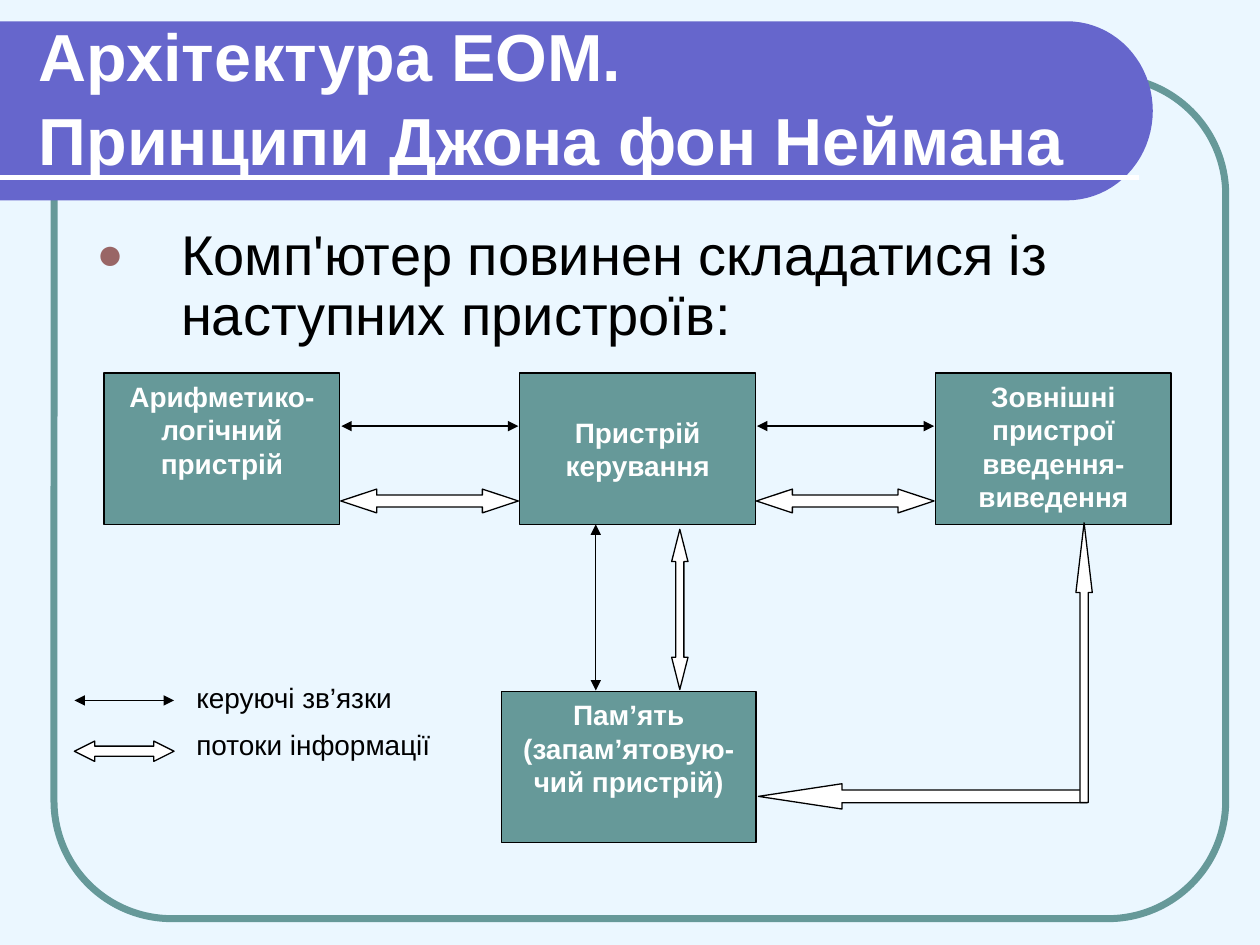
from dataclasses import dataclass
from math import cos, pi, sin

from lxml.etree import SubElement
from pptx import Presentation
from pptx.dml.color import RGBColor
from pptx.enum.shapes import MSO_CONNECTOR, MSO_SHAPE as Geo
from pptx.enum.text import MSO_ANCHOR as Anchor, PP_ALIGN as Align
from pptx.oxml.ns import qn
from pptx.util import Cm, Pt


@dataclass(frozen=True)
class Theme:
    font: str = "Arial"
    background: str = "EBF7FF"
    band: str = "6666CC"
    teal: str = "669999"
    bullet: str = "996666"
    black: str = "000000"
    white: str = "FFFFFF"
    title: int = 38
    body: int = 32
    label: int = 16
    thin: float = 0.75
    underline: float = 3
    frame: float = 4


@dataclass(frozen=True)
class Area:
    """Left, top, width and height in centimetres."""
    x: float
    y: float
    w: float
    h: float

    def emu(self) -> tuple:
        return Cm(self.x), Cm(self.y), Cm(self.w), Cm(self.h)


@dataclass(frozen=True)
class Device:
    text: str
    area: Area
    anchor: Anchor = Anchor.TOP


@dataclass(frozen=True)
class BlockArrow:
    geo: Geo
    area: Area
    head: float
    rotation: int = 0


@dataclass(frozen=True)
class Legend:
    text: str
    area: Area


T = Theme()
COL_X, COL_STEP, ROW_Y = 2.1, 8.38, 7.52
BOX_W, BOX_H = 4.75, 3.05
GAPS = [COL_X + BOX_W + i * COL_STEP for i in range(2)]


def device_at(col: int, text: str, anchor: Anchor = Anchor.TOP) -> Device:
    return Device(text, Area(COL_X + col * COL_STEP, ROW_Y, BOX_W, BOX_H), anchor)


DEVICES = [
    device_at(0, "Арифметико-логічний пристрій"),
    device_at(1, "Пристрій керування", Anchor.MIDDLE),
    device_at(2, "Зовнішні пристрої введення-виведення"),
    Device("Пам’ять\n(запам’ятовую-чий пристрій)", Area(10.11, 13.94, 5.13, BOX_H)),
]
INFO_FLOWS = [
    *(BlockArrow(Geo.LEFT_RIGHT_ARROW, Area(x + 0.02, 9.86, 3.58, 0.48), 1.51) for x in GAPS),
    BlockArrow(Geo.LEFT_RIGHT_ARROW, Area(12.09, 12.12, 3.23, 0.33), 1.97, 270),
    BlockArrow(Geo.LEFT_ARROW, Area(15.29, 15.8, 6.63, 0.51), 3.3),
    BlockArrow(Geo.UP_ARROW, Area(21.69, 10.54, 0.33, 5.64), 4.26),
    BlockArrow(Geo.LEFT_RIGHT_ARROW, Area(1.5, 14.94, 2.01, 0.41), 1),
]
CONTROL_LINKS = [
    *((x + 0.03, 8.59, x + 3.6, 8.59) for x in GAPS),
    (12.01, 10.57, 12.01, 13.92),
    (1.5, 14.12, 3.51, 14.12),
]
LEGENDS = [
    Legend("керуючі зв’язки", Area(3.71, 13.54, 6.2, 1.02)),
    Legend("потоки інформації", Area(3.71, 14.53, 6.2, 0.94)),
]


def rgb(value: str) -> RGBColor:
    return RGBColor.from_string(value)


def paint(s, fill: str | None = None, line: str | None = None, width: float = T.thin) -> None:
    s.shadow.inherit = False
    if fill:
        s.fill.solid()
        s.fill.fore_color.rgb = rgb(fill)
    else:
        s.fill.background()
    if line:
        s.line.color.rgb = rgb(line)
        s.line.width = Pt(width)
    else:
        s.line.fill.background()


def write(s, text: str, *, size: int, color: str = T.black, bold: bool = False,
          align: Align = Align.LEFT, anchor: Anchor = Anchor.TOP,
          spacing: float | None = None) -> None:
    """Fill a shape with text: \\n starts a paragraph, \\v breaks a line."""
    tf = s.text_frame
    tf.word_wrap = True
    tf.vertical_anchor = anchor
    for i, part in enumerate(text.split("\n")):
        p = tf.add_paragraph() if i else tf.paragraphs[0]
        p.text = part
        p.alignment = align
        p.line_spacing = spacing
        for r in p.runs:
            r.font.name, r.font.size, r.font.bold = T.font, Pt(size), bold
            r.font.color.rgb = rgb(color)


def add_bullet(p, indent: float) -> None:
    pr = p._p.get_or_add_pPr()
    pr.set("marL", str(Cm(indent)))
    pr.set("indent", str(-Cm(indent)))
    SubElement(SubElement(pr, qn("a:buClr")), qn("a:srgbClr"), val=T.bullet)
    SubElement(pr, qn("a:buSzPct"), val="80000")
    SubElement(pr, qn("a:buFont"), typeface=T.font)
    SubElement(pr, qn("a:buChar"), char="●")


def draw_line(shapes, ends: tuple, color: str, width: float, arrows: bool = False) -> None:
    s = shapes.add_connector(MSO_CONNECTOR.STRAIGHT, *map(Cm, ends))
    s.line.color.rgb = rgb(color)
    s.line.width = Pt(width)
    if arrows:
        ln = s.line._get_or_add_ln()
        for end in ("a:headEnd", "a:tailEnd"):
            SubElement(ln, qn(end), type="triangle")
    SubElement(s._element.spPr, qn("a:effectLst"))


def draw_band(shapes) -> None:
    """Title band with a rounded right end."""
    top, bottom, straight, right = 0.43, 4.04, 21.51, 23.24
    mid, ry, rx, steps = (top + bottom) / 2, (bottom - top) / 2, right - straight, 40
    angles = [pi * (i / steps - 0.5) for i in range(steps + 1)]
    arc = [(Cm(straight + rx * cos(a)), Cm(mid + ry * sin(a))) for a in angles]
    builder = shapes.build_freeform(0, Cm(top))
    builder.add_line_segments([*arc, (0, Cm(bottom))], close=True)
    paint(builder.convert_to_shape(), T.band)


def draw_device(shapes, device: Device) -> None:
    s = shapes.add_shape(Geo.RECTANGLE, *device.area.emu())
    paint(s, T.teal, T.black)
    write(s, device.text, size=T.label, color=T.white, bold=True,
          align=Align.CENTER, anchor=device.anchor)


def draw_block_arrow(shapes, arrow: BlockArrow) -> None:
    s = shapes.add_shape(arrow.geo, *arrow.area.emu())
    s.adjustments[0], s.adjustments[1] = 0.5, arrow.head
    s.rotation = arrow.rotation
    paint(s, T.white, T.black)


def main() -> None:
    prs = Presentation()
    prs.slide_width, prs.slide_height = Cm(25.4), Cm(19.05)
    slide = prs.slides.add_slide(prs.slide_layouts[6])
    slide.background.fill.solid()
    slide.background.fill.fore_color.rgb = rgb(T.background)
    shapes = slide.shapes

    frame = shapes.add_shape(Geo.ROUNDED_RECTANGLE, *Area(1.09, 1.55, 23.62, 16.97).emu())
    frame.adjustments[0] = 0.14
    paint(frame, line=T.teal, width=T.frame)
    draw_band(shapes)
    draw_line(shapes, (0, 3.58, 22.96, 3.58), T.white, T.underline)

    title = shapes.add_textbox(*Area(0.53, 0.64, 22.28, 2.54).emu())
    write(title, "Архітектура ЕОМ.\vПринципи Джона фон Неймана", size=T.title,
          color=T.white, bold=True, anchor=Anchor.MIDDLE, spacing=1.05)
    body = shapes.add_textbox(*Area(1.7, 4.45, 22.02, 13.69).emu())
    write(body, "Комп'ютер повинен складатися із наступних пристроїв:",
          size=T.body, spacing=0.9)
    add_bullet(body.text_frame.paragraphs[0], 1.7)

    for device in DEVICES:
        draw_device(shapes, device)
    for arrow in INFO_FLOWS:
        draw_block_arrow(shapes, arrow)
    for ends in CONTROL_LINKS:
        draw_line(shapes, ends, T.black, T.thin, arrows=True)
    for legend in LEGENDS:
        s = shapes.add_textbox(*legend.area.emu())
        write(s, legend.text, size=T.label, anchor=Anchor.MIDDLE)

    prs.save("out.pptx")


if __name__ == "__main__":
    main()
